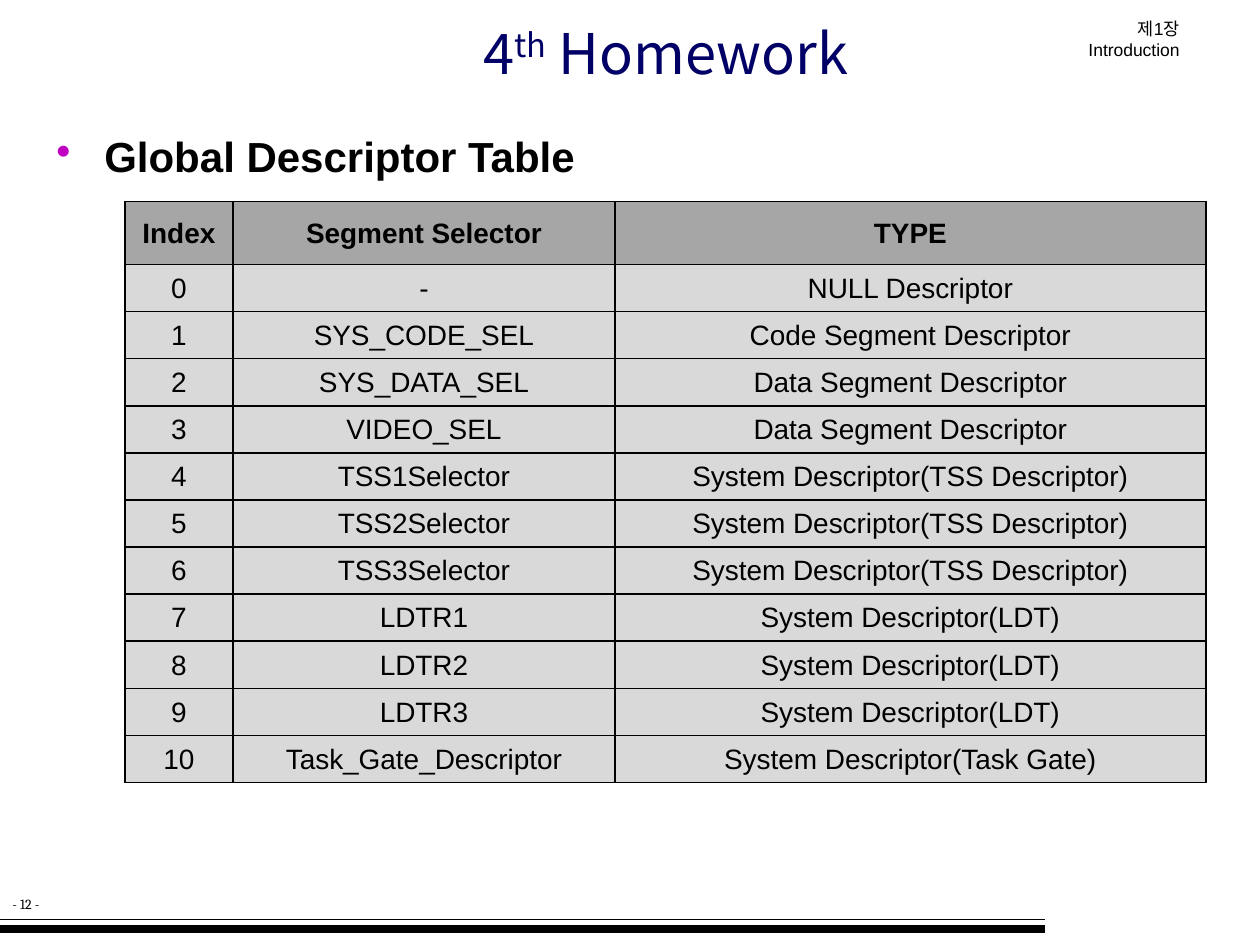
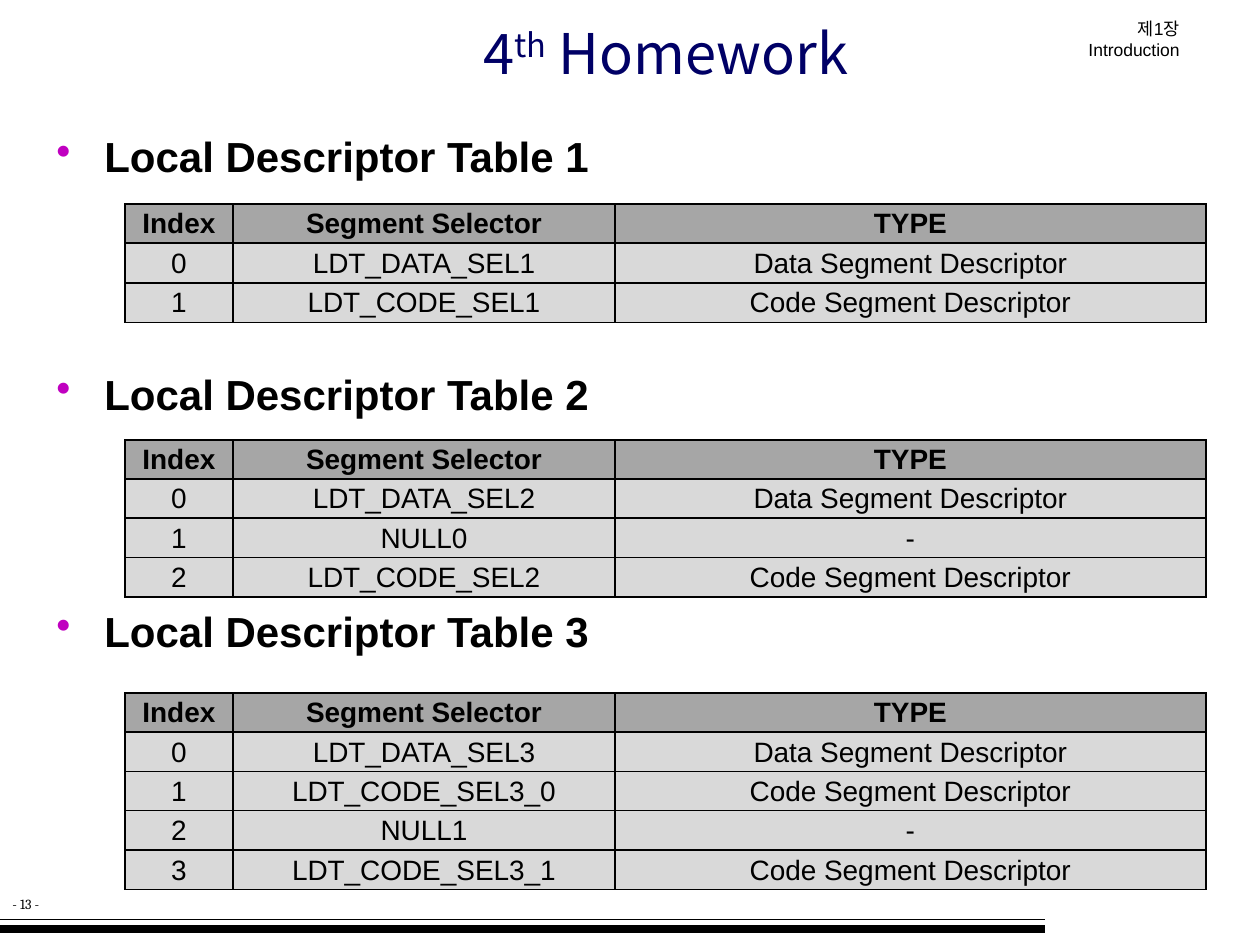
import pptx
import pptx.util
import pptx.dml.color
import pptx.enum.text
import pptx.enum.shapes
import pptx.oxml
import pptx.oxml.ns
import lxml.etree

Inches = pptx.util.Inches
Pt = pptx.util.Pt
ALIGN = pptx.enum.text.PP_ALIGN
MIDDLE = pptx.enum.text.MSO_ANCHOR.MIDDLE
qn = pptx.oxml.ns.qn
NAMESPACE = pptx.oxml.ns.nsdecls("a")

COLORS = {
    "text": "000000",
    "title": "000066",
    "bullet": "C000C0",
    "header": "A6A6A6",
    "body": "D9D9D9",
}
COLUMN_WIDTHS = [0.86, 3.03, 4.69]
COLUMN_TITLES = ["Index", "Segment Selector", "TYPE"]
HEADING_PITCH = 106.7

CODE = "Code Segment Descriptor"
DATA = "Data Segment Descriptor"
TSS = "System Descriptor(TSS Descriptor)"
LDT = "System Descriptor(LDT)"

homework_slides = [
    {
        "number": 12,
        "tables": [
            {
                "heading": "Global Descriptor Table", "top": 1.6, "height": 4.61, "header": 0.5,
                "entries": [
                    ("-", "NULL Descriptor"),
                    ("SYS_CODE_SEL", CODE),
                    ("SYS_DATA_SEL", DATA),
                    ("VIDEO_SEL", DATA),
                    ("TSS1Selector", TSS),
                    ("TSS2Selector", TSS),
                    ("TSS3Selector", TSS),
                    ("LDTR1", LDT),
                    ("LDTR2", LDT),
                    ("LDTR3", LDT),
                    ("Task_Gate_Descriptor", "System Descriptor(Task Gate)"),
                ],
            },
        ],
    },
    {
        "number": 13,
        "tables": [
            {
                "heading": "Local Descriptor Table 1", "top": 1.62, "height": 0.94, "header": 0.31,
                "entries": [("LDT_DATA_SEL1", DATA), ("LDT_CODE_SEL1", CODE)],
            },
            {
                "heading": "Local Descriptor Table 2", "top": 3.49, "height": 1.25, "header": 0.31,
                "entries": [("LDT_DATA_SEL2", DATA), ("NULL0", "-"), ("LDT_CODE_SEL2", CODE)],
            },
            {
                "heading": "Local Descriptor Table 3", "top": 5.5, "height": 1.56, "header": 0.31,
                "entries": [
                    ("LDT_DATA_SEL3", DATA),
                    ("LDT_CODE_SEL3_0", CODE),
                    ("NULL1", "-"),
                    ("LDT_CODE_SEL3_1", CODE),
                ],
            },
        ],
    },
]


def write(paragraph, text, size=16, font="Arial", color="text", bold=False,
          align=ALIGN.LEFT, before=0, raised=False):
    paragraph.alignment = align
    paragraph.space_before = Pt(before)
    run = paragraph.add_run()
    run.text = text
    run.font.size = Pt(size)
    run.font.name = font
    run.font.bold = bold
    run.font.color.rgb = pptx.dml.color.RGBColor.from_string(COLORS[color])
    if raised:
        run.font._element.set("baseline", "30000")


def add_frame(slide, left, top, width, height, wrap=True):
    frame = slide.shapes.add_textbox(
        Inches(left), Inches(top), Inches(width), Inches(height)).text_frame
    frame.word_wrap = wrap
    return frame


deck = pptx.Presentation()
deck.slide_width = Inches(10)
deck.slide_height = Inches(7.5)

for homework in homework_slides:
    slide = deck.slides.add_slide(deck.slide_layouts[6])

    page_number = add_frame(slide, 0, 7.06, 0.48, 0.24, wrap=False)
    write(page_number.paragraphs[0], f"- {homework['number']} -", size=8, font="Cambria")

    chapter = add_frame(slide, 8.13, 0.09, 1.33, 0.27)
    chapter.margin_left = Inches(0.3)
    write(chapter.paragraphs[0], "제1장 Introduction", size=10, align=ALIGN.RIGHT, before=2)

    for rule_top, rule_width in [(7.37, 4.5), (7.3, 0.75)]:
        footer_rule = slide.shapes.add_connector(
            pptx.enum.shapes.MSO_CONNECTOR.STRAIGHT,
            Inches(0), Inches(rule_top), Inches(8.29), Inches(rule_top))
        footer_rule.line.width = Pt(rule_width)
        footer_rule.line.color.rgb = pptx.dml.color.RGBColor.from_string(COLORS["text"])
        lxml.etree.SubElement(footer_rule._element.spPr, qn("a:effectLst"))

    title = add_frame(slide, 0.86, 0.1, 8.85, 0.63)
    title.vertical_anchor = MIDDLE
    for part in ["4", "th", " Homework"]:
        write(title.paragraphs[0], part, size=32, font="Noto Sans CJK KR", color="title",
              align=ALIGN.CENTER, raised=part == "th")

    headings = add_frame(slide, 0.35, 0.99, 9.37, 6.06)
    for position, section in enumerate(homework["tables"]):
        heading = headings.add_paragraph() if position else headings.paragraphs[0]
        write(heading, section["heading"], size=24, bold=True,
              before=HEADING_PITCH if position else 2.4)
        properties = heading._p.get_or_add_pPr()
        properties.set("marL", str(Inches(0.38)))
        properties.set("indent", str(-Inches(0.38)))
        properties.append(pptx.oxml.parse_xml(
            f'<a:buClr {NAMESPACE}><a:srgbClr val="{COLORS["bullet"]}"/></a:buClr>'))
        properties.append(pptx.oxml.parse_xml(f'<a:buChar {NAMESPACE} char="•"/>'))

    for section in homework["tables"]:
        entries = section["entries"]
        rows = [COLUMN_TITLES] + [(str(index), *entry) for index, entry in enumerate(entries)]
        descriptors = slide.shapes.add_table(
            len(rows), len(COLUMN_TITLES), Inches(0.99), Inches(section["top"]),
            Inches(sum(COLUMN_WIDTHS)), Inches(section["height"])).table
        descriptors.horz_banding = False
        for column, width in zip(descriptors.columns, COLUMN_WIDTHS):
            column.width = Inches(width)
        entry_height = (section["height"] - section["header"]) / len(entries)

        for row_index, values in enumerate(rows):
            is_header = row_index == 0
            descriptors.rows[row_index].height = Inches(
                section["header"] if is_header else entry_height)
            for column_index, value in enumerate(values):
                cell = descriptors.cell(row_index, column_index)
                cell.vertical_anchor = MIDDLE
                cell.margin_left = cell.margin_right = cell.margin_top = Inches(0.01)
                cell.margin_bottom = 0
                cell.fill.solid()
                cell.fill.fore_color.rgb = pptx.dml.color.RGBColor.from_string(
                    COLORS["header" if is_header else "body"])
                write(cell.text_frame.paragraphs[0], value, bold=is_header, align=ALIGN.CENTER)
                for order, side in enumerate("LRTB"):
                    cell._tc.tcPr.insert(order, pptx.oxml.parse_xml(
                        f'<a:ln{side} {NAMESPACE} w="{Pt(1)}"><a:solidFill>'
                        f'<a:srgbClr val="{COLORS["text"]}"/></a:solidFill></a:ln{side}>'))

deck.save("out.pptx")
